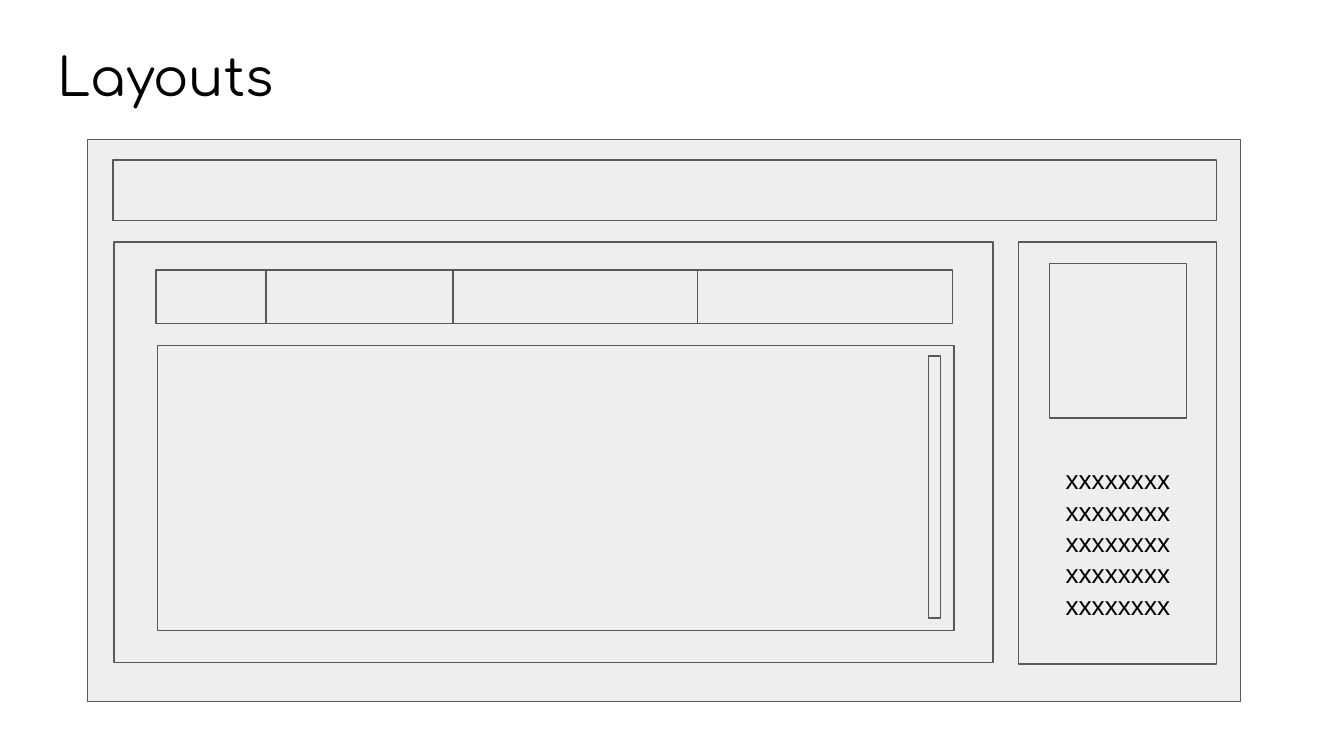
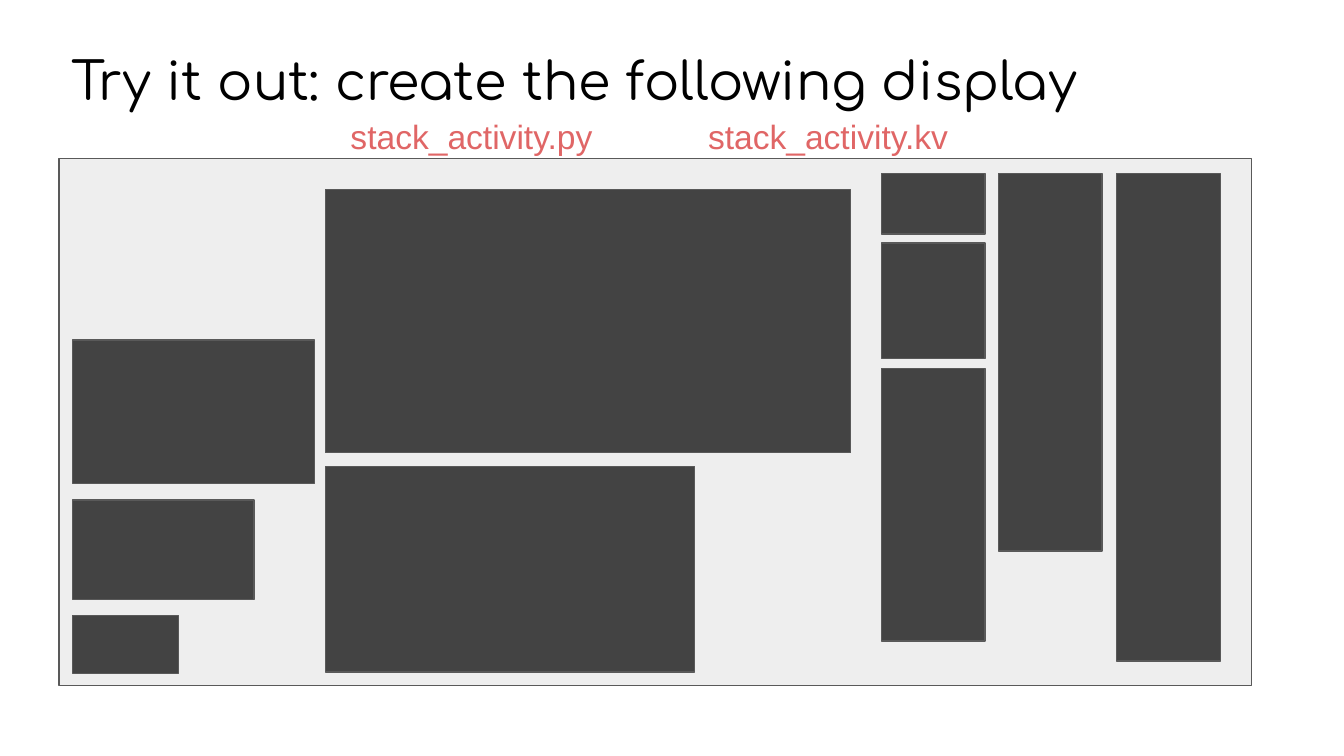
import pptx
import pptx.util
import pptx.dml.color
import pptx.enum.shapes
import pptx.enum.text
import pptx.oxml.ns
from lxml import etree
from pptx.util import Inches, Pt

COLORS = {"panel": "EEEEEE", "edge": "595959", "block": "434343",
          "ink": "000000", "file": "E06666"}
FONTS = {"title": "Comfortaa", "body": "Arial"}


def color(name):
    return pptx.dml.color.RGBColor.from_string(COLORS[name])


def write(shape, text, size=14, font="body", ink="ink"):
    frame = shape.text_frame
    frame.word_wrap = True
    frame.auto_size = pptx.enum.text.MSO_AUTO_SIZE.NONE
    frame.vertical_anchor = pptx.enum.text.MSO_ANCHOR.TOP
    frame.margin_left = frame.margin_right = Inches(0.1)
    frame.margin_top = frame.margin_bottom = Inches(0.1)
    para = frame.paragraphs[0]
    para.alignment = pptx.enum.text.PP_ALIGN.LEFT
    run = para.add_run()
    run.text = text
    run.font.size = Pt(size)
    run.font.name = FONTS[font]
    run.font.color.rgb = color(ink)


class Deck:
    def __init__(self):
        self.prs = pptx.Presentation()
        self.prs.slide_width = Inches(10)
        self.prs.slide_height = Inches(10) * 9 // 16
        self.slide = None

    def page(self, title, left, top, width):
        """Start a title-only slide and place its title."""
        self.slide = self.prs.slides.add_slide(self.prs.slide_layouts[5])
        head = self.slide.shapes.title
        head.left, head.top = Inches(left), Inches(top)
        head.width, head.height = Inches(width), Inches(0.63)
        write(head, title, size=28, font="title")

    def rect(self, left, top, width, height, fill="panel"):
        box = self.slide.shapes.add_shape(
            pptx.enum.shapes.MSO_SHAPE.RECTANGLE,
            Inches(left), Inches(top), Inches(width), Inches(height))
        box.shadow.inherit = False
        box.fill.solid()
        box.fill.fore_color.rgb = color(fill)
        self.edge(box)

    def rule(self, x, top, end):
        """Draw an upright line."""
        line = self.slide.shapes.add_connector(
            pptx.enum.shapes.MSO_CONNECTOR.STRAIGHT,
            Inches(x), Inches(top), Inches(x), Inches(end))
        self.edge(line)
        etree.SubElement(line._element.spPr, pptx.oxml.ns.qn("a:effectLst"))

    def edge(self, shape):
        shape.line.color.rgb = color("edge")
        shape.line.width = Pt(0.75)

    def text(self, text, left, top, width, height, **style):
        box = self.slide.shapes.add_textbox(
            Inches(left), Inches(top), Inches(width), Inches(height))
        write(box, text, **style)

    def stack(self, left, top, gap, sizes):
        """Pile dark blocks downwards from the top, a gap apart."""
        for width, height in sizes:
            self.rect(left, top, width, height, fill="block")
            top += height + gap


def layouts(deck):
    deck.page("Layouts", 0.33, 0.23, 6.37)
    deck.rect(0.65, 1.04, 8.58, 4.18)    # window
    deck.rect(0.84, 1.19, 8.21, 0.45)    # header
    deck.rect(0.85, 1.8, 6.54, 3.13)     # main area
    deck.rect(7.58, 1.8, 1.47, 3.14)     # sidebar
    deck.rect(7.81, 1.96, 1.02, 1.15)    # sidebar image
    deck.text("x" * 40, 7.83, 3.35, 1.02, 1.35)
    deck.rect(1.16, 2.01, 5.93, 0.4)     # tab bar
    for x, top in ((1.98, 2.01), (3.37, 2.01), (5.19, 2.02)):
        deck.rule(x, top, 2.4)
    deck.rect(1.17, 2.57, 5.93, 2.12)    # content
    deck.rect(6.91, 2.65, 0.09, 1.95)    # scroll bar


def activity(deck):
    deck.page("Try it out: create the following display", 0.43, 0.26, 8.89)
    deck.rect(0.44, 1.18, 8.87, 3.92)
    deck.stack(0.54, 2.53, 0.12, [(1.8, 1.07), (1.35, 0.74), (0.79, 0.43)])
    deck.stack(2.42, 1.41, 0.1, [(3.91, 1.96), (2.75, 1.53)])
    thin = 0.77
    columns = ((6.56, (0.45, 0.86, 2.03)), (7.43, (2.81,)), (8.31, (3.63,)))
    for left, heights in columns:
        deck.stack(left, 1.29, 0.07, [(thin, height) for height in heights])
    for left, kind in ((2.51, "py"), (5.17, "kv")):
        deck.text(f"stack_activity.{kind}", left, 0.76, 2.14, 0.5,
                  size=18, ink="file")


def main():
    deck = Deck()
    layouts(deck)
    activity(deck)
    deck.prs.save("out.pptx")


if __name__ == "__main__":
    main()
